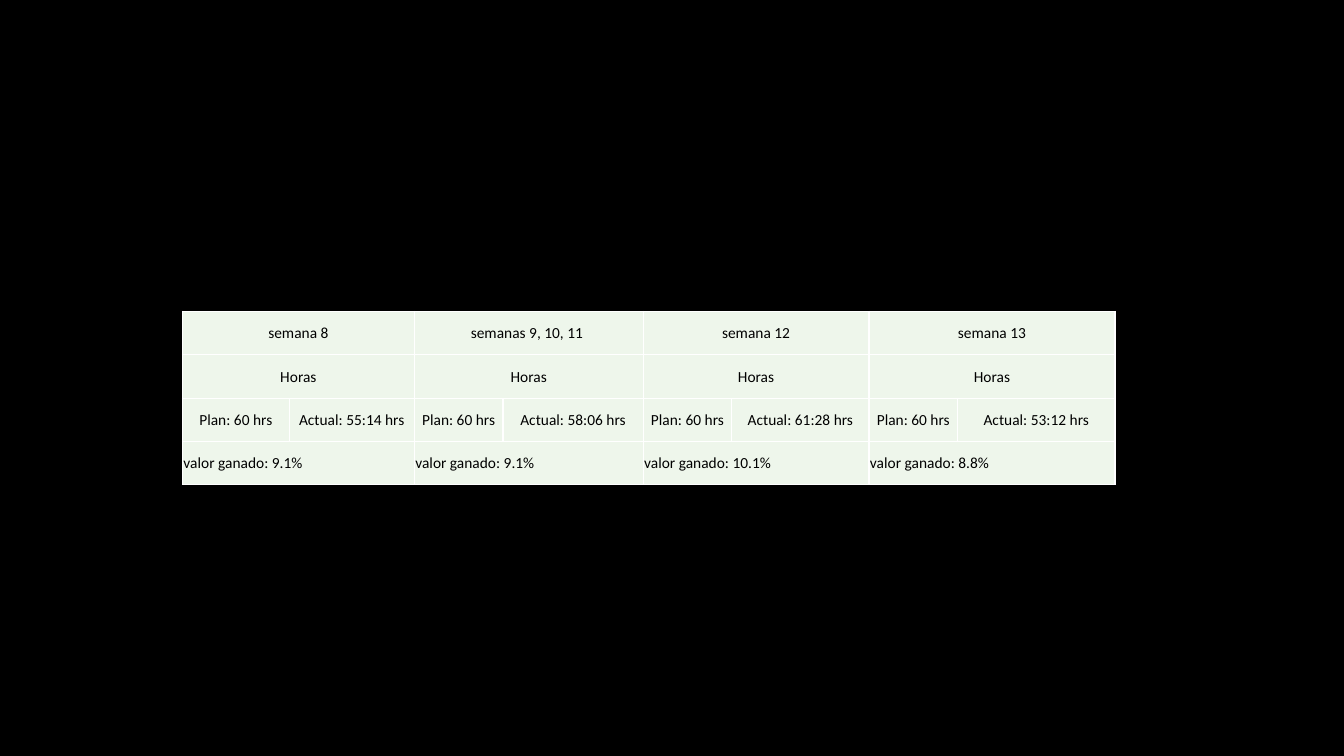
import pptx
import pptx.dml.color
import pptx.enum.text
import pptx.oxml.ns
import pptx.util
from lxml import etree
from pptx.util import Inches

ALIGN = pptx.enum.text.PP_ALIGN
ANCHOR = pptx.enum.text.MSO_ANCHOR


def color(hex_string):
    return pptx.dml.color.RGBColor.from_string(hex_string)


def apply_format(target, values):
    for name, value in values.items():
        setattr(target, name, value)


class SlideBuilder:
    font = {"name": "Calibri", "size": pptx.util.Pt(11), "bold": False}
    text_color = "000000"
    cell_color = "EEF6EB"
    border_color = "FFFFFF"
    border_width = pptx.util.Pt(1)
    cell_format = {
        "vertical_anchor": ANCHOR.MIDDLE,
        "margin_left": Inches(0.01),
        "margin_right": Inches(0.01),
        "margin_top": Inches(0.01),
        "margin_bottom": Inches(0),
    }

    def __init__(self, slide, background):
        self.slide = slide
        slide.background.fill.solid()
        slide.background.fill.fore_color.rgb = color(background)

    def add_table(self, left, top, column_widths, row_heights):
        table = self.slide.shapes.add_table(
            len(row_heights), len(column_widths), Inches(left), Inches(top),
            Inches(sum(column_widths)), Inches(sum(row_heights))).table
        apply_format(table, {"first_row": False, "horz_banding": False})
        for column, width in zip(table.columns, column_widths):
            column.width = Inches(width)
        for row, height in zip(table.rows, row_heights):
            row.height = Inches(height)
        for cell in table.iter_cells():
            self.style_cell(cell)
        return table

    def style_cell(self, cell):
        apply_format(cell, self.cell_format)
        self.add_borders(cell)
        cell.fill.solid()
        cell.fill.fore_color.rgb = color(self.cell_color)

    def add_borders(self, cell):
        qn = pptx.oxml.ns.qn
        properties = cell._tc.get_or_add_tcPr()
        for side in ("a:lnL", "a:lnR", "a:lnT", "a:lnB"):
            line = etree.SubElement(properties, qn(side), w=str(self.border_width))
            fill = etree.SubElement(line, qn("a:solidFill"))
            etree.SubElement(fill, qn("a:srgbClr"), val=self.border_color)

    def write_cell(self, cell, text, alignment):
        paragraph = cell.text_frame.paragraphs[0]
        paragraph.alignment = alignment
        run = paragraph.add_run()
        run.text = text
        apply_format(run.font, self.font)
        run.font.color.rgb = color(self.text_color)


def main():
    presentation = pptx.Presentation()
    apply_format(presentation, {"slide_width": Inches(13.33),
                                "slide_height": Inches(7.5)})
    slide = presentation.slides.add_slide(presentation.slide_layouts[6])
    builder = SlideBuilder(slide, "000000")

    # Weekly hours: title, planned and actual hours, earned value
    weeks = [
        ("semana 8", "55:14", "9.1%"),
        ("semanas 9, 10, 11 ", "58:06", "9.1%"),
        ("semana 12", "61:28", "10.1%"),
        ("semana 13", "53:12", "8.8%"),
    ]
    column_widths = [1.06, 1.24, 0.88, 1.39, 0.88, 1.36, 0.88, 1.56]
    table = builder.add_table(1.81, 3.09, column_widths, [0.43] * 4)

    # Each week takes two columns, merged except in the hours row
    for index, (title, actual, earned) in enumerate(weeks):
        first, second = 2 * index, 2 * index + 1
        merged_rows = [(0, title, ALIGN.CENTER), (1, "Horas", ALIGN.CENTER),
                       (3, f"valor ganado: {earned}", ALIGN.LEFT)]
        for row, text, alignment in merged_rows:
            table.cell(row, first).merge(table.cell(row, second))
            builder.write_cell(table.cell(row, first), text, alignment)
        builder.write_cell(table.cell(2, first), "Plan: 60 hrs", ALIGN.CENTER)
        builder.write_cell(table.cell(2, second), f"Actual: {actual} hrs", ALIGN.CENTER)

    presentation.save("out.pptx")


if __name__ == "__main__":
    main()
